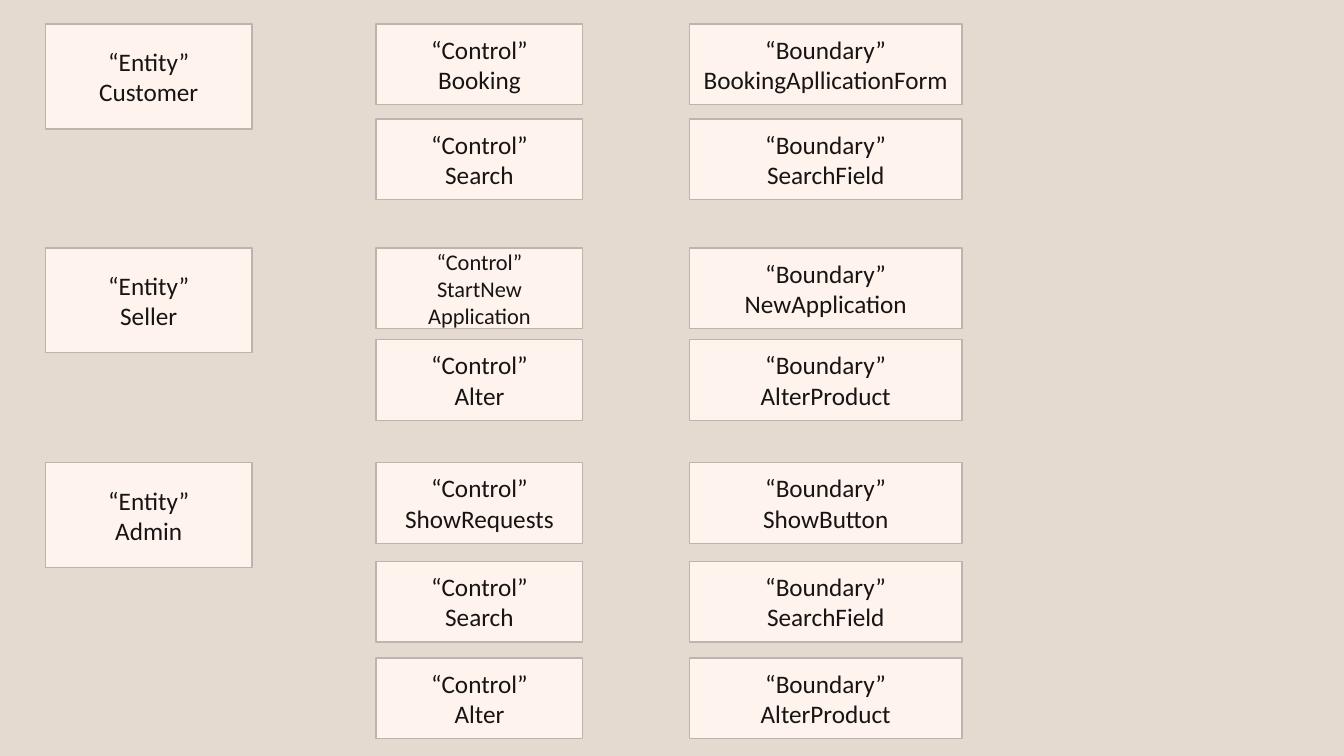
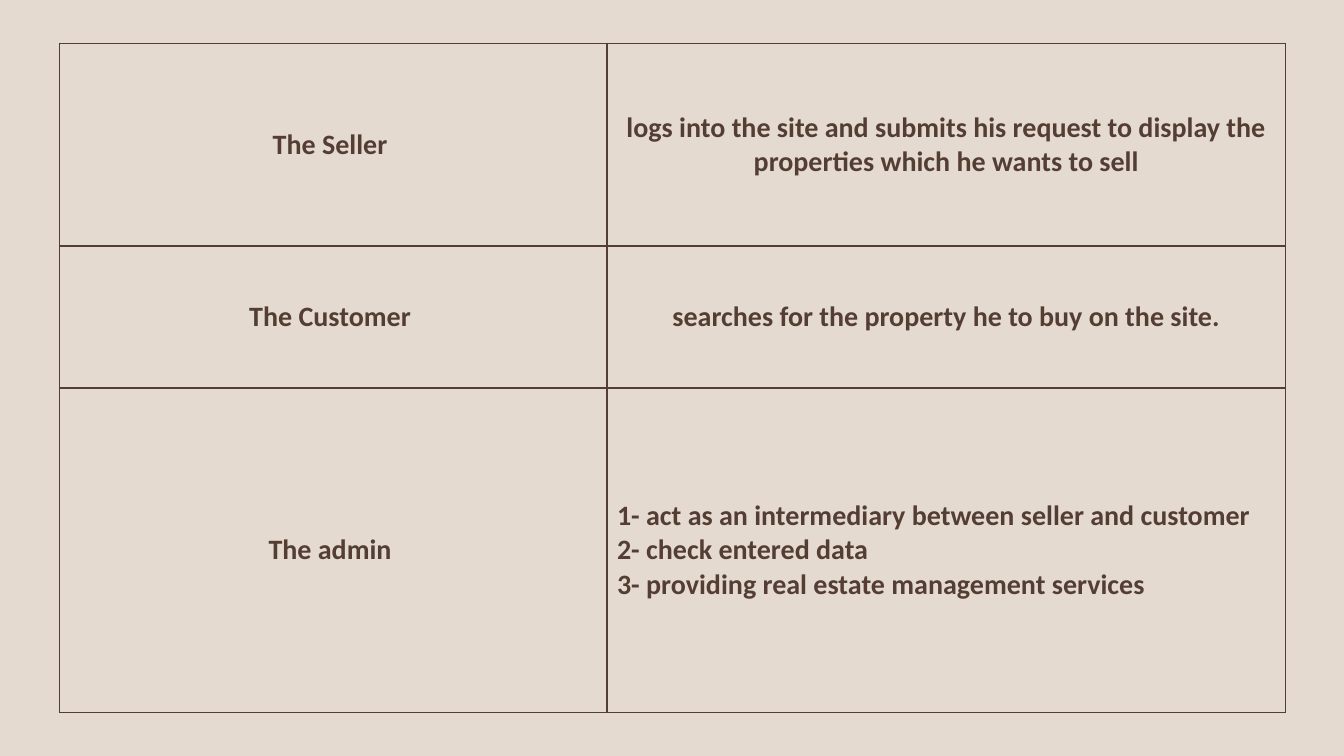
from lxml import etree
from pptx import Presentation
from pptx.dml.color import RGBColor
from pptx.enum.shapes import MSO_SHAPE
from pptx.enum.text import MSO_ANCHOR, PP_ALIGN
from pptx.oxml.ns import qn
from pptx.util import Emu, Pt

RECT = MSO_SHAPE.RECTANGLE
MIDDLE = MSO_ANCHOR.MIDDLE
CENTER, LEFT = PP_ALIGN.CENTER, PP_ALIGN.LEFT

PX = 9144  # 100 px to the inch
FONT = "Calibri"
COLORS = {
    "background": "E5DACF",
    "box": "FEF3ED",
    "box_line": "BCB4AF",
    "box_text": "171413",
    "table": "543E34",
}

# Stereotype: left, width, height
COLUMNS = {
    "Entity": (45, 205, 104),
    "Control": (373, 205, 80),
    "Boundary": (684, 270, 80),
}
# Entity, then its rows: top, control, boundary
GROUPS = [
    ("Customer", [(24, "Booking", "BookingApllicationForm"),
                  (118, "Search", "SearchField")]),
    ("Seller", [(246, "StartNew\nApplication", "NewApplication"),
                (337, "Alter", "AlterProduct")]),
    ("Admin", [(459, "ShowRequests", "ShowButton"),
               (557, "Search", "SearchField"),
               (653, "Alter", "AlterProduct")]),
]

TABLE_LEFT, TABLE_TOP = 59, 43
COL_WIDTHS = [543, 673]
ROW_HEIGHTS = [201, 141, 322]
ROLES = [
    ("The Seller ", "logs into the site and submits his request to display "
                    "the properties which he wants to sell"),
    ("The Customer ", "searches for the property he to buy on the site."),
    ("The admin ", "1- act as an intermediary between seller and customer\n"
                   "2- check entered data\n"
                   "3- providing real estate management services"),
]


def px(n):
    return Emu(n * PX)


def rgb(name):
    return RGBColor.from_string(COLORS[name])


def set_text(tf, text, size, color, align=CENTER, bold=False):
    tf.text = text
    for p in tf.paragraphs:
        p.alignment = align
        for r in p.runs:
            r.font.name = FONT
            r.font.size = Pt(size)
            r.font.bold = bold
            r.font.color.rgb = rgb(color)


def add_class_box(s, stereotype, name, top):
    left, width, height = COLUMNS[stereotype]
    sp = s.shapes.add_shape(RECT, px(left), px(top), px(width), px(height))
    sp.shadow.inherit = False
    sp.fill.solid()
    sp.fill.fore_color.rgb = rgb("box")
    sp.line.color.rgb = rgb("box_line")
    sp.line.width = Pt(1)
    tf = sp.text_frame
    tf.word_wrap = True
    tf.vertical_anchor = MIDDLE
    size = 16 if "\n" in name else 18
    set_text(tf, f"“{stereotype}”\n{name}", size, "box_text")


def set_borders(cell, color):
    tc_pr = cell._tc.get_or_add_tcPr()
    for edge in ("a:lnL", "a:lnR", "a:lnT", "a:lnB"):
        ln = etree.SubElement(tc_pr, qn(edge), w=str(Pt(1)))
        fill = etree.SubElement(ln, qn("a:solidFill"))
        etree.SubElement(fill, qn("a:srgbClr"), val=COLORS[color])


def add_roles_table(s):
    table = s.shapes.add_table(
        len(ROLES), len(COL_WIDTHS), px(TABLE_LEFT), px(TABLE_TOP),
        px(sum(COL_WIDTHS)), px(sum(ROW_HEIGHTS))).table
    table.first_row = table.horz_banding = False
    for column, width in zip(table.columns, COL_WIDTHS):
        column.width = px(width)
    for row, height, texts in zip(table.rows, ROW_HEIGHTS, ROLES):
        row.height = px(height)
        for cell, text in zip(row.cells, texts):
            set_borders(cell, "table")
            cell.fill.background()
            cell.vertical_anchor = MIDDLE
            align = LEFT if "\n" in text else CENTER
            set_text(cell.text_frame, text, 20, "table", align, bold=True)


def build_classes_slide(s):
    for entity, rows in GROUPS:
        add_class_box(s, "Entity", entity, rows[0][0])
        for top, control, boundary in rows:
            add_class_box(s, "Control", control, top)
            add_class_box(s, "Boundary", boundary, top)


def main():
    prs = Presentation()
    prs.slide_width, prs.slide_height = px(1333), px(750)
    background = prs.slide_master.background.fill
    background.solid()
    background.fore_color.rgb = rgb("background")
    blank = prs.slide_layouts[6]
    for build in (build_classes_slide, add_roles_table):
        build(prs.slides.add_slide(blank))
    prs.save("out.pptx")


if __name__ == "__main__":
    main()
